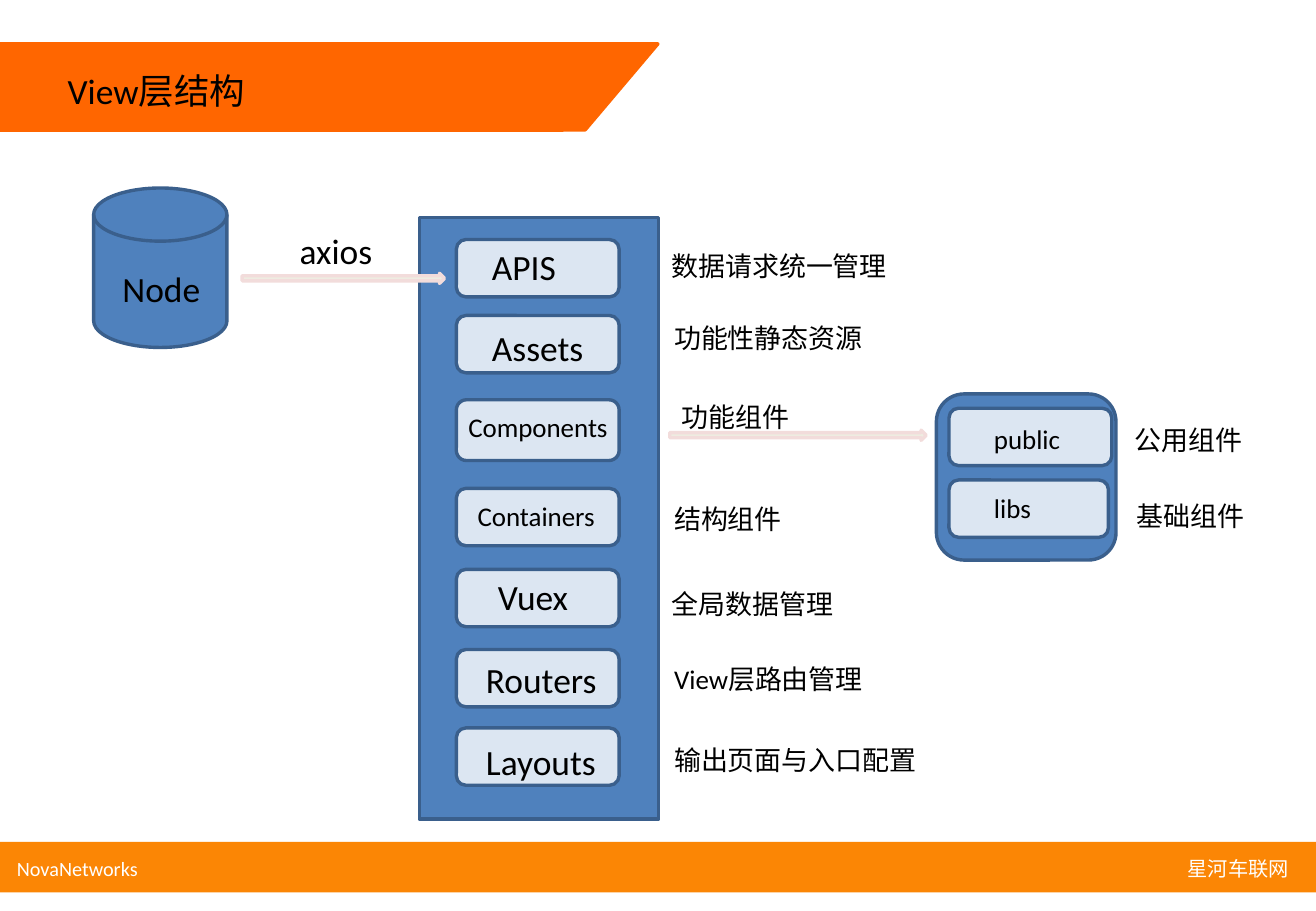
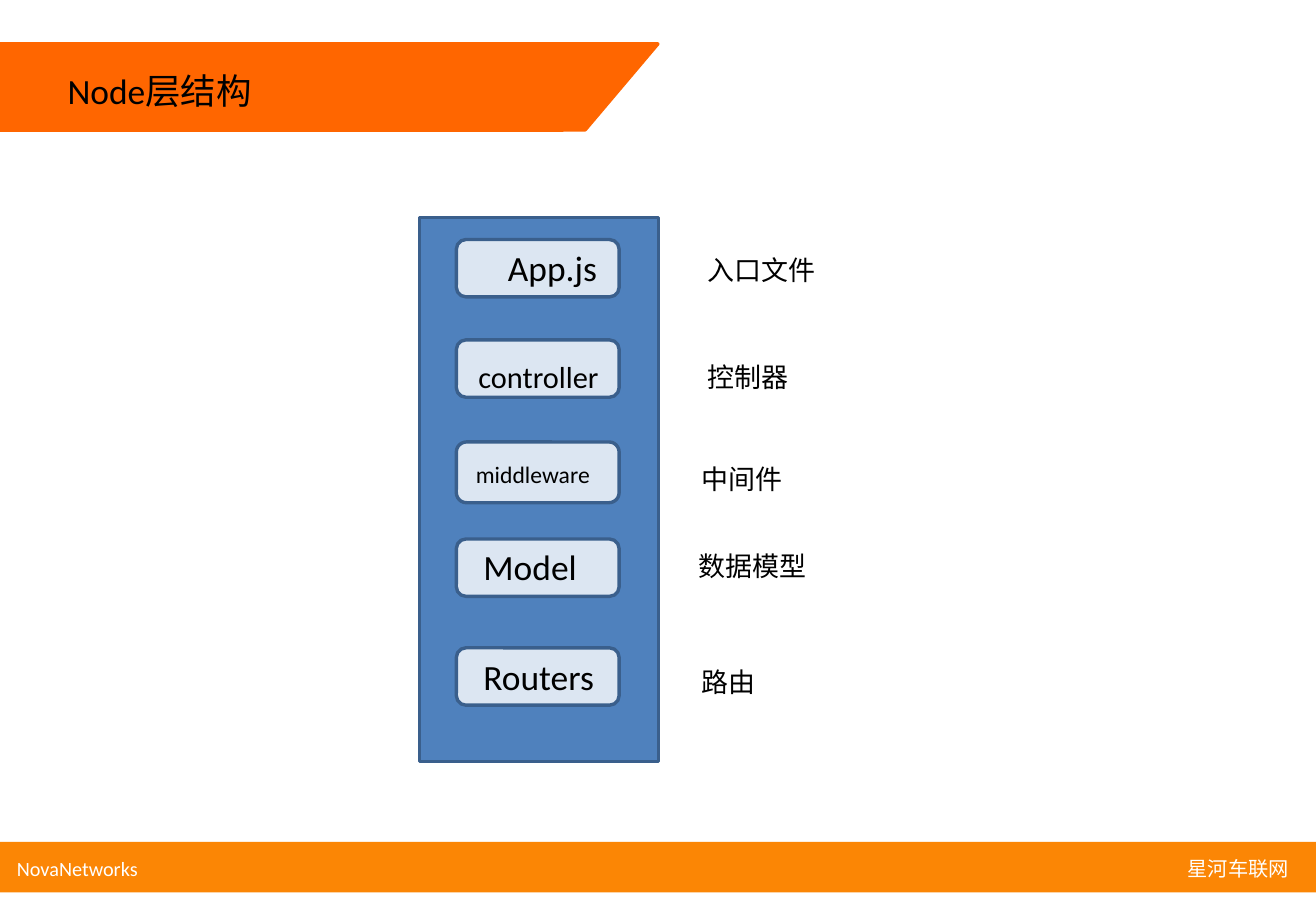
from dataclasses import dataclass

from lxml import etree
from pptx import Presentation
from pptx.dml.color import RGBColor
from pptx.enum.shapes import MSO_SHAPE
from pptx.enum.text import MSO_ANCHOR
from pptx.oxml.ns import qn
from pptx.util import Pt

RECT = MSO_SHAPE.RECTANGLE
ROUND = MSO_SHAPE.ROUNDED_RECTANGLE
SLANT = MSO_SHAPE.PARALLELOGRAM
DISK = MSO_SHAPE.FLOWCHART_MAGNETIC_DISK
ARROW = MSO_SHAPE.RIGHT_ARROW
TOP, MIDDLE = MSO_ANCHOR.TOP, MSO_ANCHOR.MIDDLE


@dataclass(frozen=True)
class Theme:
    """Colours, font and type sizes of the deck."""
    font: str = "Calibri"
    ink: str = "000000"
    white: str = "FFFFFF"
    title_band: str = "FF6600"
    footer_band: str = "FB8605"
    panel: str = "4F81BD"
    box: str = "DCE6F2"
    edge: str = "3A5F8C"
    arrow: str = "EEECE1"
    arrow_edge: str = "F2DCDB"
    large: int = 21
    medium: int = 18
    body: int = 16
    small: int = 14
    footer: int = 12
    line: int = 2


T = Theme()
WIDTH, HEIGHT = 780, 540
FOOTER = ("NovaNetworks", "星河车联网")
FOOTER_INSET, FOOTER_TAB = 10, 754
PANEL_X, PANEL_Y, PANEL_W = 248.5, 129, 142
BOX_X, BOX_W, BOX_H, TALL_H = 270.5, 96.5, 34, 36
LABEL_W, NOTE_W, SHORT_W = 100, 232.5, 88.5

# module: (name, size, label x, label y), (box y, box height),
#         (note, note x, note y, note width)
VIEW_MODULES = [
    (("APIS", T.large, 284.5, 142), (142, BOX_H), ("数据请求统一管理", 391, 144.5, NOTE_W)),
    (("Assets", T.large, 284.5, 190), (187, BOX_H), ("功能性静态资源", 392.5, 187, NOTE_W)),
    (("Components", T.body, 270.5, 240), (237, TALL_H), ("功能组件", 397, 234, SHORT_W)),
    (("Containers", T.body, 276, 292.5), (289.5, BOX_H), ("结构组件", 392.5, 294.5, NOTE_W)),
    (("Vuex", T.large, 288, 337.5), (337.5, BOX_H), ("全局数据管理", 391, 345, NOTE_W)),
    (("Routers", T.large, 281, 386.5), (385, BOX_H), ("View层路由管理", 392.5, 389, NOTE_W)),
    (("Layouts", T.large, 281, 435), (431.5, BOX_H), ("输出页面与入口配置", 392.5, 437, NOTE_W)),
]
NODE_MODULES = [
    (("App.js", T.large, 294, 142.5), (142, BOX_H), ("入口文件", 412.5, 147, NOTE_W)),
    (("controller", T.medium, 276.5, 209), (201.5, BOX_H), ("控制器", 412.5, 210, NOTE_W)),
    (("middleware", T.small, 275, 269), (262, TALL_H), ("中间件", 409, 270.5, SHORT_W)),
    (("Model", T.large, 279.5, 319.5), (319.5, BOX_H), ("数据模型", 407, 322, NOTE_W)),
    (("Routers", T.large, 279.5, 384.5), (384, BOX_H), ("路由", 409, 391, NOTE_W)),
]
# component folder: name, label y, box y, box width, note, note x, note y
FOLDERS = [
    ("public", 247, 242, 96.5, "公用组件", 665.5, 247.5),
    ("libs", 288, 284.5, 94.5, "基础组件", 666.5, 292.5),
]


def add_box(s, kind, x, y, w, h, fill, line=None, adj=None):
    """Add a flat preset shape, outlined when a line colour is given."""
    sp = s.shapes.add_shape(kind, Pt(x), Pt(y), Pt(w), Pt(h))
    sp.shadow.inherit = False
    sp.fill.solid()
    sp.fill.fore_color.rgb = RGBColor.from_string(fill)
    if line:
        sp.line.color.rgb = RGBColor.from_string(line)
        sp.line.width = Pt(T.line)
    else:
        sp.line.fill.background()
    if adj is not None:
        sp.adjustments[0] = adj
    return sp


def add_text(s, text, x, y, w, h=None, size=T.body, color=T.ink, anchor=TOP):
    """Add a one-line text box; its height follows the type size by default."""
    h = h or round(size * 1.2 + 7.2, 1)
    tf = s.shapes.add_textbox(Pt(x), Pt(y), Pt(w), Pt(h)).text_frame
    tf.word_wrap = True
    tf.vertical_anchor = anchor
    r = tf.paragraphs[0].add_run()
    r.text = text
    r.font.name = T.font
    r.font.size = Pt(size)
    r.font.color.rgb = RGBColor.from_string(color)
    return tf


def add_arrow(s, x, y, w):
    """Add a thin block arrow pointing right."""
    add_box(s, ARROW, x, y, w, 6, T.arrow, T.arrow_edge)


def add_footer(s):
    """Add the footer band with a left and a right-aligned name."""
    add_box(s, RECT, 0, 499, WIDTH, 30, T.footer_band)
    tf = add_text(s, "\t".join(FOOTER), 0, 500.5, WIDTH, 29,
                  size=T.footer, color=T.white, anchor=MIDDLE)
    tf.margin_left = Pt(FOOTER_INSET)
    tabs = etree.SubElement(tf.paragraphs[0]._p.get_or_add_pPr(), qn("a:tabLst"))
    etree.SubElement(tabs, qn("a:tab"), pos=str(Pt(FOOTER_TAB)), algn="r")


def add_frame(prs, title):
    """Add a blank slide with the title band and footer."""
    s = prs.slides.add_slide(prs.slide_layouts[6])
    add_box(s, RECT, 0, 26, 333.5, 51, T.title_band, T.title_band)
    add_box(s, SLANT, 271, 26, 119, 51, T.title_band, T.title_band, adj=0.845)
    add_footer(s)
    add_text(s, title, 33, 37.5, 255, 34, size=T.large)
    return s


def add_modules(s, modules, panel_h):
    """Add the panel with its module boxes and the notes beside it."""
    add_box(s, RECT, PANEL_X, PANEL_Y, PANEL_W, panel_h, T.panel, T.edge)
    for (name, size, x, y), (box_y, box_h), (note, note_x, note_y, note_w) in modules:
        add_box(s, ROUND, BOX_X, box_y, BOX_W, box_h, T.box, T.edge)
        add_text(s, name, x, y, LABEL_W, size=size)
        add_text(s, note, note_x, note_y, note_w)


def add_server(s):
    """Add the Node store and its axios arrow into the panel."""
    add_box(s, DISK, 55.5, 111.5, 79, 94.5, T.panel, T.edge)
    add_text(s, "Node", 65.5, 155, 67.5, size=T.large)
    add_text(s, "axios", 170.5, 132, 62.5, size=T.large)
    add_arrow(s, 143.5, 162, 120)


def add_folders(s):
    """Add the component folders that the Components module points to."""
    add_arrow(s, 397, 255, 152)
    add_box(s, ROUND, 555, 233.5, 106.5, 98.5, T.panel, T.edge)
    for name, y, box_y, box_w, note, note_x, note_y in FOLDERS:
        add_box(s, ROUND, 562.5, box_y, box_w, BOX_H, T.box, T.edge)
        add_text(s, name, 582, y, 62)
        add_text(s, note, note_x, note_y, SHORT_W)


def main():
    """Build both slides and save the deck."""
    prs = Presentation()
    prs.slide_width, prs.slide_height = Pt(WIDTH), Pt(HEIGHT)

    s = add_frame(prs, "View层结构")
    add_modules(s, VIEW_MODULES, 356.5)
    add_server(s)
    add_folders(s)

    s = add_frame(prs, "Node层结构")
    add_modules(s, NODE_MODULES, 322.5)

    prs.save("out.pptx")


main()
